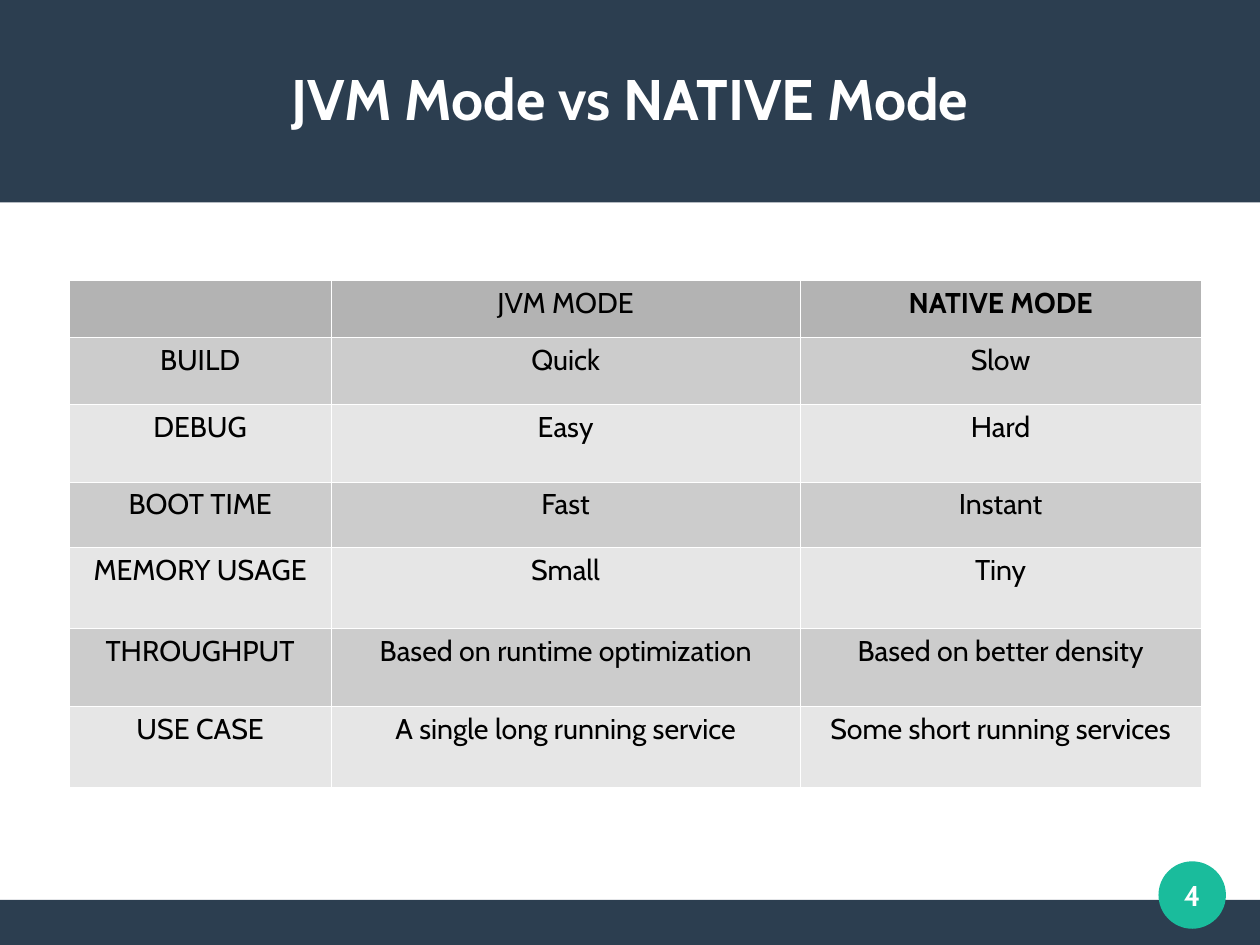
import lxml.etree
import pptx
import pptx.dml.color
import pptx.enum.shapes
import pptx.enum.text
import pptx.oxml.ns
import pptx.util

Pt = pptx.util.Pt
SLIDE_W, SLIDE_H = 793.7, 595.28
HEADER_H, FOOTER_H = 127.56, 28.35
NAVY, TEAL, WHITE, BLACK = "2C3E50", "1ABC9C", "FFFFFF", "000000"
HEAD_FILL, BAND_FILLS = "B3B3B3", ("CCCCCC", "E6E6E6")
COL_WIDTHS = (164.5, 296, 252)
ROW_HEIGHTS = (36.2, 41.8, 49, 41, 51.4, 49.2, 51)
ROWS = (
    ("", "JVM MODE", "NATIVE MODE"),
    ("BUILD", "Quick", "Slow"),
    ("DEBUG", "Easy", "Hard"),
    ("BOOT TIME", "Fast", "Instant"),
    ("MEMORY USAGE", "Small", "Tiny"),
    ("THROUGHPUT", "Based on runtime optimization", "Based on better density"),
    ("USE CASE", "A single long running service", "Some short running services"),
)


def rgb(color):
    """Return the colour of a hex string."""
    return pptx.dml.color.RGBColor.from_string(color)


def set_text(tf, text, size=18, color=BLACK, bold=False, font="Cabin"):
    """Write one centred run into a text frame."""
    p = tf.paragraphs[0]
    p.alignment = pptx.enum.text.PP_ALIGN.CENTER
    r = p.add_run()
    r.text = text
    r.font.name = font
    r.font.size = Pt(size)
    r.font.bold = bold
    r.font.color.rgb = rgb(color)


def center_frame(tf):
    """Remove the insets of a text frame and centre it vertically."""
    tf.margin_left = tf.margin_top = tf.margin_right = tf.margin_bottom = 0
    tf.vertical_anchor = pptx.enum.text.MSO_ANCHOR.MIDDLE
    tf.auto_size = pptx.enum.text.MSO_AUTO_SIZE.NONE
    tf.word_wrap = True


def add_block(slide, kind, left, top, width, height, color):
    """Add a filled shape without a line or shadow."""
    sp = slide.shapes.add_shape(kind, Pt(left), Pt(top), Pt(width), Pt(height))
    sp.shadow.inherit = False
    sp.fill.solid()
    sp.fill.fore_color.rgb = rgb(color)
    sp.line.fill.background()


def add_title(slide, text):
    """Fill the title placeholder and bring it to the front."""
    sp = slide.shapes.title
    sp.left, sp.top, sp.width, sp.height = Pt(28.35), Pt(24), Pt(737), Pt(75.5)
    center_frame(sp.text_frame)
    set_text(sp.text_frame, text, size=36, color=WHITE, bold=True)
    sp.element.getparent().append(sp.element)


def set_borders(cell, color, width):
    """Draw the four borders of a table cell."""
    tc_pr = cell._tc.get_or_add_tcPr()
    qn = pptx.oxml.ns.qn
    for side in ("lnL", "lnR", "lnT", "lnB"):
        ln = lxml.etree.SubElement(tc_pr, qn(f"a:{side}"), w=str(Pt(width)))
        fill = lxml.etree.SubElement(ln, qn("a:solidFill"))
        lxml.etree.SubElement(fill, qn("a:srgbClr"), val=color)


def add_mode_table(slide, left, top):
    """Add the comparison table with its banded rows."""
    frame = slide.shapes.add_table(
        len(ROWS), len(COL_WIDTHS), Pt(left), Pt(top),
        Pt(sum(COL_WIDTHS)), Pt(sum(ROW_HEIGHTS)))
    table = frame.table
    table.first_row = table.horz_banding = False
    for col, width in zip(table.columns, COL_WIDTHS):
        col.width = Pt(width)
    for i, (row, height) in enumerate(zip(table.rows, ROW_HEIGHTS)):
        row.height = Pt(height)
        color = BAND_FILLS[(i - 1) % 2] if i else HEAD_FILL
        for cell, text in zip(row.cells, ROWS[i]):
            set_borders(cell, WHITE, 0.06)
            cell.fill.solid()
            cell.fill.fore_color.rgb = rgb(color)
            if text:
                set_text(cell.text_frame, text, bold=text == "NATIVE MODE")


def add_page_number(slide, text, cx, cy):
    """Add the round badge and the page number centred on it."""
    d, box = 42.5, 57
    add_block(slide, pptx.enum.shapes.MSO_SHAPE.OVAL,
              cx - d / 2, cy - d / 2, d, d, TEAL)
    sp = slide.shapes.add_textbox(
        Pt(cx - box / 2), Pt(cy - box / 2), Pt(box), Pt(box))
    center_frame(sp.text_frame)
    set_text(sp.text_frame, text, color=WHITE, bold=True)


def main():
    """Build and save the slide."""
    prs = pptx.Presentation()
    prs.slide_width, prs.slide_height = Pt(SLIDE_W), Pt(SLIDE_H)
    slide = prs.slides.add_slide(prs.slide_layouts.get_by_name("Title Only"))
    rect = pptx.enum.shapes.MSO_SHAPE.RECTANGLE
    add_block(slide, rect, 0, SLIDE_H - FOOTER_H, SLIDE_W, FOOTER_H, NAVY)
    add_block(slide, rect, 0, 0, SLIDE_W, HEADER_H, NAVY)
    add_title(slide, "JVM Mode vs NATIVE Mode")
    add_mode_table(slide, 43.8, 176.4)
    add_page_number(slide, "4", 751, 563.8)
    prs.save("out.pptx")


if __name__ == "__main__":
    main()
